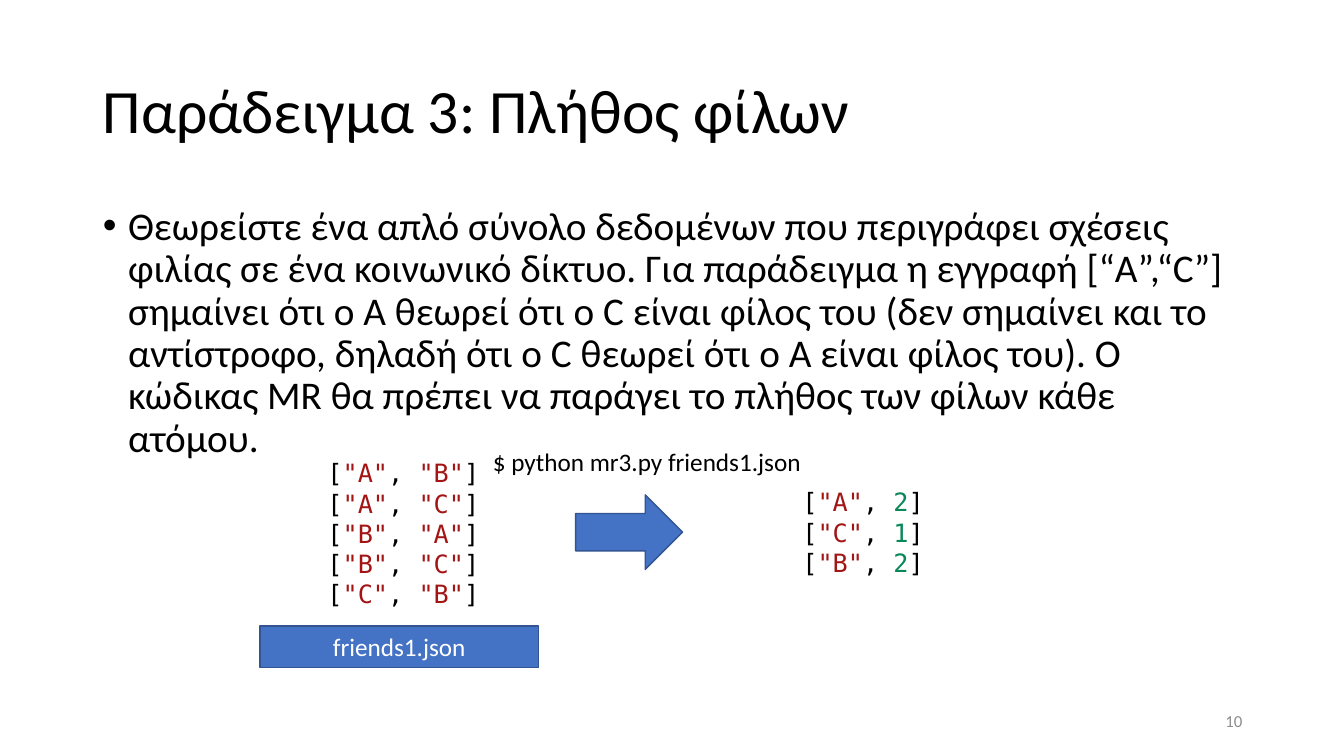
from dataclasses import dataclass
from pptx import Presentation
from pptx.dml.color import RGBColor as Rgb
from pptx.enum.shapes import MSO_SHAPE as Kind
from pptx.enum.text import MSO_ANCHOR as Anchor, MSO_AUTO_SIZE as Fit, PP_ALIGN as Align
from pptx.util import Inches, Pt


@dataclass(frozen=True)
class Theme:
    """Colours, fonts and type sizes of the slide."""
    ink: str = "000000"
    text: str = "A31515"
    count: str = "09885A"
    blue: str = "4472C4"
    edge: str = "325491"
    white: str = "FFFFFF"
    grey: str = "8C8C8C"
    sans: str = "Calibri"
    mono: str = "DejaVu Sans Mono"
    title: int = 44
    body: int = 28
    label: int = 18
    page: int = 12


theme = Theme()

TITLE = "Παράδειγμα 3: Πλήθος φίλων"
BODY = (
    "Θεωρείστε ένα απλό σύνολο δεδομένων που περιγράφει σχέσεις φιλίας σε ένα "
    "κοινωνικό δίκτυο. Για παράδειγμα η εγγραφή [“A”,“C”] σημαίνει ότι ο Α θεωρεί "
    "ότι ο C είναι φίλος του (δεν σημαίνει και το αντίστροφο, δηλαδή ότι ο C θεωρεί "
    "ότι ο Α είναι φίλος του). Ο κώδικας MR θα πρέπει να παράγει το πλήθος των φίλων "
    "κάθε ατόμου."
)
FRIENDS = [("A", "B"), ("A", "C"), ("B", "A"), ("B", "C"), ("C", "B")]
COUNTS = [("A", 2), ("C", 1), ("B", 2)]
COMMAND = "$ python mr3.py friends1.json"
SOURCE = "friends1.json"
PAGE = "10"


def place(shape, box):
    """Move a shape to left, top, width, height in inches."""
    for name, size in zip(("left", "top", "width", "height"), box):
        setattr(shape, name, Inches(size))


def add_run(para, text, color=theme.ink, size=theme.label, face=theme.sans):
    """Append a formatted run to a paragraph."""
    run = para.add_run()
    run.text = text
    for name, value in {"name": face, "size": Pt(size)}.items():
        setattr(run.font, name, value)
    run.font.color.rgb = Rgb.from_string(color)


def set_text(shape, text, color=theme.ink, size=theme.label, frame=None, para=None):
    """Write one paragraph, with formats for its frame and itself."""
    area = shape.text_frame
    first = area.paragraphs[0]
    base = {"word_wrap": True, "auto_size": Fit.NONE}
    for item, formats in ((area, base | (frame or {})), (first, para or {})):
        for name, value in formats.items():
            setattr(item, name, value)
    add_run(first, text, color, size)
    return first


def add_box(box):
    """Add an empty text box."""
    return slide.shapes.add_textbox(*map(Inches, box))


def add_block(kind, box):
    """Add a blue preset shape with a thin edge."""
    shape = slide.shapes.add_shape(kind, *map(Inches, box))
    shape.shadow.inherit = False
    shape.fill.solid()
    shape.fill.fore_color.rgb = Rgb.from_string(theme.blue)
    shape.line.color.rgb = Rgb.from_string(theme.edge)
    shape.line.width = Pt(1)
    return shape


def add_pairs(pairs, box):
    """Show pairs as coloured JSON lines."""
    area = add_box(box).text_frame
    area.word_wrap = True
    for i, pair in enumerate(pairs):
        para = area.add_paragraph() if i else area.paragraphs[0]
        for mark, item in zip(("[", ",\u00a0"), pair):
            add_run(para, mark, face=theme.mono)
            word = isinstance(item, str)
            add_run(para, f'"{item}"' if word else str(item),
                    theme.text if word else theme.count, face=theme.mono)
        add_run(para, "]", face=theme.mono)


deck = Presentation()
deck.slide_width, deck.slide_height = Inches(13.33), Inches(7.5)
slide = deck.slides.add_slide(deck.slide_layouts[1])

title, body = slide.placeholders
place(title, (0.92, 0.4, 11.5, 1.45))
set_text(title, TITLE, size=theme.title, frame={"vertical_anchor": Anchor.MIDDLE},
         para={"alignment": Align.LEFT, "line_spacing": 0.9})

place(body, (0.92, 2, 11.5, 4.76))
para = set_text(body, BODY, size=theme.body,
                para={"line_spacing": 0.9, "space_before": Pt(10)})
props = para._p.get_or_add_pPr()
props.set("marL", str(Inches(0.25)))
props.set("indent", str(Inches(-0.25)))

add_pairs(FRIENDS, (3.15, 4.49, 1.87, 1.62))
add_pairs(COUNTS, (7.86, 4.78, 1.6, 1.01))

set_text(add_block(Kind.RECTANGLE, (2.58, 6.21, 2.76, 0.41)), SOURCE, theme.white,
         frame={"vertical_anchor": Anchor.MIDDLE}, para={"alignment": Align.CENTER})
add_block(Kind.RIGHT_ARROW, (5.71, 4.91, 1.06, 0.74))
set_text(add_box((4.79, 4.38, 3.29, 0.4)), COMMAND, frame={"word_wrap": False})
set_text(add_box((9.42, 6.95, 3, 0.4)), PAGE, theme.grey, theme.page,
         {"vertical_anchor": Anchor.MIDDLE}, {"alignment": Align.RIGHT})

deck.save("out.pptx")
